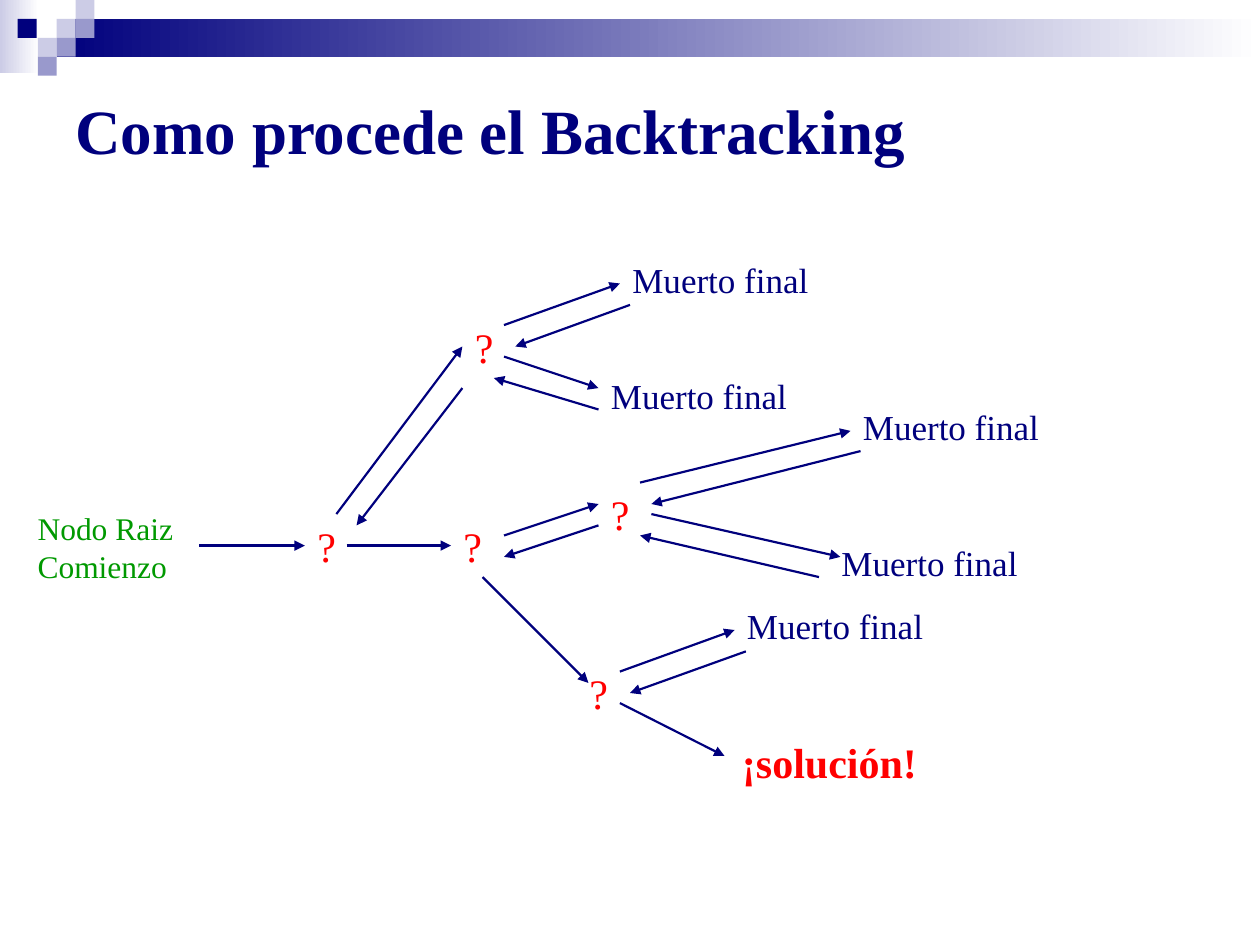
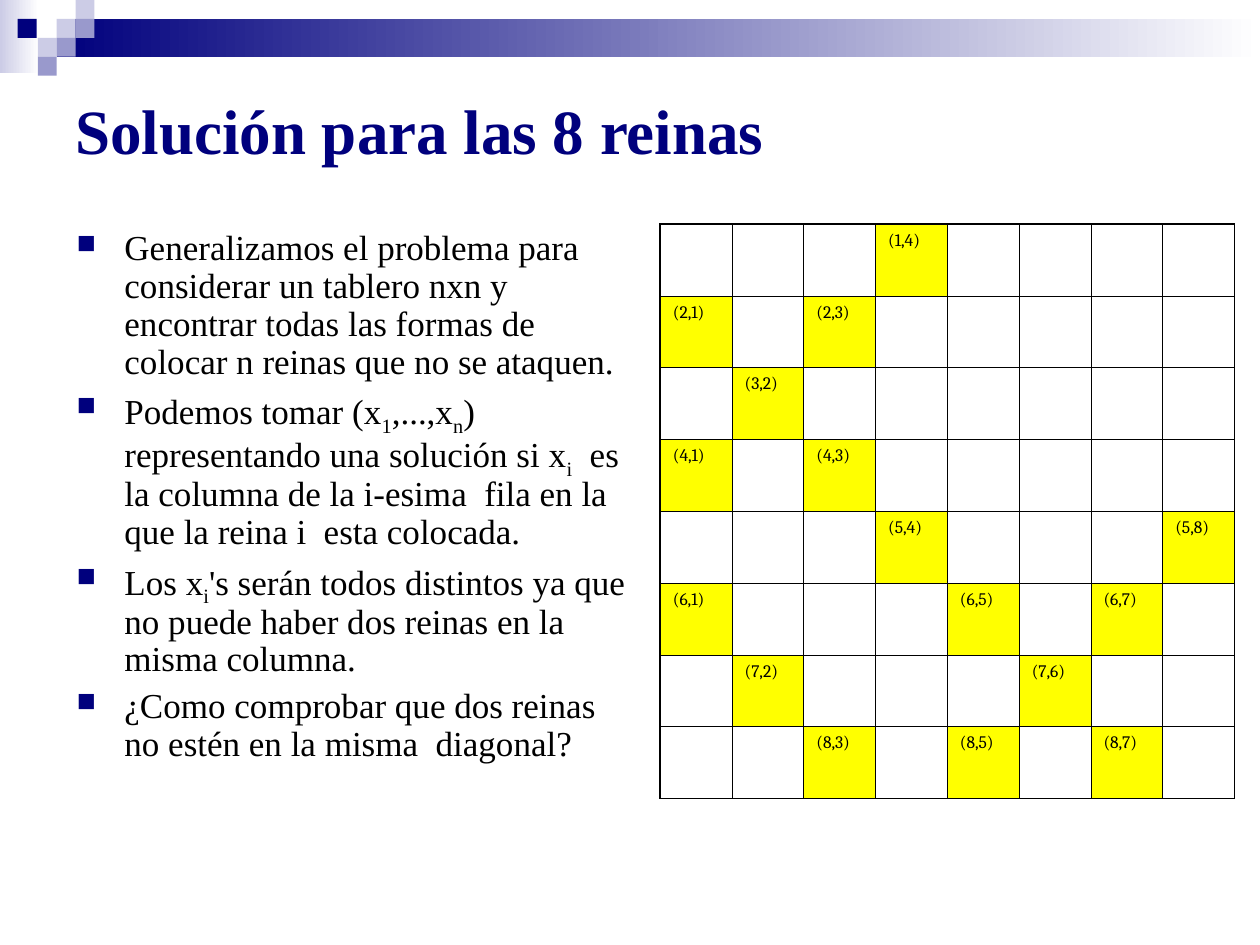
from dataclasses import dataclass

from lxml import etree
from pptx import Presentation
from pptx.dml.color import RGBColor
from pptx.enum.shapes import MSO_CONNECTOR, MSO_SHAPE
from pptx.enum.text import MSO_ANCHOR, MSO_AUTO_SIZE
from pptx.oxml.ns import qn
from pptx.util import Inches, Pt

STRAIGHT = MSO_CONNECTOR.STRAIGHT
RECTANGLE = MSO_SHAPE.RECTANGLE
MIDDLE = MSO_ANCHOR.MIDDLE
GROW = MSO_AUTO_SIZE.SHAPE_TO_FIT_TEXT
TOP, LEFT, BOTTOM, RIGHT = range(4)


@dataclass(frozen=True)
class Theme:
    navy: str = "00007D"
    lilac: str = "CCCCE6"
    violet: str = "9999CC"
    white: str = "FFFFFF"
    black: str = "000000"
    red: str = "FF0000"
    green: str = "009900"
    yellow: str = "FFFF00"
    font: str = "Times New Roman"
    board_font: str = "Cambria"
    title: int = 36
    node: int = 24
    body: int = 20
    root: int = 18
    cell: int = 10
    arrow: float = 1.25
    inner_border: float = 0.45
    outer_border: float = 1.08


T = Theme()

# left, top, width, height, colour, colour it fades to
HEADER = [
    (0, 0, 0.31, 0.58, T.lilac, T.white),
    (0.45, 0.15, 9.55, 0.3, T.navy, T.white),
]
SQUARE = 0.15
HEADER += [
    (x, y, SQUARE, SQUARE, color, None)
    for x, y, color in [
        (0.45, 0.15, T.lilac), (0.6, 0, T.lilac), (0.6, 0.15, T.violet),
        (0.3, 0.3, T.lilac), (0.14, 0.15, T.navy), (0.45, 0.3, T.violet),
        (0.3, 0.45, T.violet),
    ]
]

# name: left, top, width
QUESTIONS = {
    "first": (2.42, 4.08, 0.5),
    "upper": (3.67, 2.5, 0.42),
    "middle": (3.58, 4.08, 0.5),
    "right": (4.75, 3.83, 0.5),
    "lower": (4.58, 5.25, 0.5),
}
DEAD_ENDS = [(4.92, 2), (4.75, 2.92), (6.75, 3.17), (6.58, 4.25), (5.83, 4.75)]

# each end is a point, or a question and the side it joins
ARROWS = [
    ((1.58, 4.33), ("first", LEFT)),
    (("first", TOP), ("upper", LEFT)),
    ((3.67, 3.08), (2.83, 4.17)),
    ((2.75, 4.33), ("middle", LEFT)),
    ((4, 2.58), (4.92, 2.25)),
    ((5, 2.42), ("upper", RIGHT)),
    ((4, 2.83), (4.75, 3.08)),
    ((4.75, 3.25), (3.92, 3)),
    ((4, 4.25), (4.75, 4)),
    ((4.75, 4.17), (4, 4.42)),
    ((5.08, 3.83), (6.75, 3.42)),
    ((6.83, 3.58), (5.17, 4)),
    ((5.17, 4.08), (6.67, 4.42)),
    ((6.5, 4.58), (5.08, 4.25)),
    (("middle", BOTTOM), (4.67, 5.42)),
    ((4.92, 5.33), (5.83, 5)),
    ((5.92, 5.17), (5, 5.5)),
    ((4.92, 5.58), (5.75, 6)),
]

# subscripts stand between underscores
POINTS = [
    "Generalizamos el problema para considerar un tablero nxn y encontrar "
    "todas las formas de colocar n reinas que no se ataquen.",
    "Podemos tomar (x_1_,...,x_n_)  representando una solución si x_i_  es la "
    "columna de la i-esima  fila en la que la reina i  esta colocada.",
    "Los x_i_'s serán todos distintos ya que no puede haber dos reinas en la "
    "misma columna.",
    "¿Como comprobar que dos reinas no estén en la misma  diagonal?",
]

BOARD_SIZE = 8
MARKED = {(1, 4), (2, 1), (2, 3), (3, 2), (4, 1), (4, 3), (5, 4), (5, 8),
          (6, 1), (6, 5), (6, 7), (7, 2), (7, 6), (8, 3), (8, 5), (8, 7)}


def rgb(color):
    return RGBColor.from_string(color)


def add_xml(parent, tag, **attributes):
    return etree.SubElement(parent, qn(tag), attributes)


def style(font, size, color, name=T.font, bold=False):
    values = {"size": Pt(size), "name": name, "bold": bold}
    for key, value in values.items():
        setattr(font, key, value)
    font.color.rgb = rgb(color)


def add_box(s, x, y, w, h, **frame):
    sp = s.shapes.add_textbox(Inches(x), Inches(y), Inches(w), Inches(h))
    for key, value in {"word_wrap": True, **frame}.items():
        setattr(sp.text_frame, key, value)
    return sp


def add_label(s, text, x, y, w, h, size, color, bold=False, **frame):
    sp = add_box(s, x, y, w, h, **frame)
    r = sp.text_frame.paragraphs[0].add_run()
    r.text = text
    style(r.font, size, color, bold=bold)
    return sp


def add_header(s):
    for x, y, w, h, color, fade in HEADER:
        sp = s.shapes.add_shape(RECTANGLE, Inches(x), Inches(y), Inches(w), Inches(h))
        sp.shadow.inherit = False
        sp.line.fill.background()
        if fade:
            sp.fill.gradient()
            sp.fill.gradient_angle = 0
            for stop, stop_color in zip(sp.fill.gradient_stops, (color, fade)):
                stop.color.rgb = rgb(stop_color)
        else:
            sp.fill.solid()
            sp.fill.fore_color.rgb = rgb(color)


def new_slide(prs, title):
    s = prs.slides.add_slide(prs.slide_layouts[6])
    add_header(s)
    add_label(s, title, 0.5, 0.5, 9.3, 1.05, T.title, T.navy, bold=True,
              vertical_anchor=MIDDLE)
    return s


def add_arrow(s, start, end, questions):
    xy = [(0, 0) if p[0] in questions else p for p in (start, end)]
    line = s.shapes.add_connector(STRAIGHT, *(Inches(v) for p in xy for v in p))
    for connect, point in ((line.begin_connect, start), (line.end_connect, end)):
        if point[0] in questions:
            connect(questions[point[0]], point[1])
    line.line.color.rgb = rgb(T.navy)
    line.line.width = Pt(T.arrow)
    add_xml(line.line._get_or_add_ln(), "a:tailEnd", type="triangle")
    add_xml(line._element.spPr, "a:effectLst")


def add_bullets(s, points, x, y, w, h):
    tf = add_box(s, x, y, w, h).text_frame
    for i, text in enumerate(points):
        p = tf.add_paragraph() if i else tf.paragraphs[0]
        pPr = p._p.get_or_add_pPr()
        pPr.set("marL", str(Inches(0.38)))
        pPr.set("indent", str(-Inches(0.38)))
        add_xml(add_xml(pPr, "a:buClr"), "a:srgbClr", val=T.navy)
        add_xml(pPr, "a:buSzPct", val="75000")
        add_xml(pPr, "a:buChar", char="■")
        p.line_spacing = 0.9
        p.space_before = Pt(5 if i else 0)
        for j, part in enumerate(text.split("_")):
            r = p.add_run()
            r.text = part
            style(r.font, T.body, T.black)
            if j % 2:
                r._r.get_or_add_rPr().set("baseline", "-25000")


def add_borders(cell, outer_sides):
    """Draw the four sides, thicker where the cell meets the board's edge."""
    tcPr = cell._tc.get_or_add_tcPr()
    for side in "LRTB":
        width = T.outer_border if side in outer_sides else T.inner_border
        ln = add_xml(tcPr, f"a:ln{side}", w=str(Pt(width)))
        add_xml(add_xml(ln, "a:solidFill"), "a:srgbClr", val=T.black)


def add_board(s, x, y, side):
    n = BOARD_SIZE
    table = s.shapes.add_table(n, n, Inches(x), Inches(y),
                               Inches(n * side), Inches(n * side)).table
    for line in table.columns:
        line.width = Inches(side)
    for row in range(1, n + 1):
        table.rows[row - 1].height = Inches(side)
        for col in range(1, n + 1):
            cell = table.cell(row - 1, col - 1)
            edges = {"L": col == 1, "R": col == n, "T": row == 1, "B": row == n}
            add_borders(cell, [edge for edge, outer in edges.items() if outer])
            marked = (row, col) in MARKED
            cell.fill.solid()
            cell.fill.fore_color.rgb = rgb(T.yellow if marked else T.white)
            if marked:
                r = cell.text_frame.paragraphs[0].add_run()
                r.text = f"({row},{col})"
                style(r.font, T.cell, T.black, T.board_font)


def build_search_tree(prs):
    s = new_slide(prs, "Como procede el Backtracking")
    add_label(s, "Nodo Raiz Comienzo", 0.2, 3.99, 1.47, 0.7, T.root, T.green,
              auto_size=GROW)
    questions = {
        name: add_label(s, "?", x, y, w, 0.5, T.node, T.red, auto_size=GROW)
        for name, (x, y, w) in QUESTIONS.items()
    }
    for x, y in DEAD_ENDS:
        add_label(s, "Muerto final", x, y, 1.92, 0.44, T.body, T.navy,
                  auto_size=GROW)
    add_label(s, "¡solución!", 5.79, 5.8, 1.75, 0.5, T.node, T.red, bold=True,
              auto_size=GROW)
    for start, end in ARROWS:
        add_arrow(s, start, end, questions)


def build_queens(prs):
    s = new_slide(prs, "Solución para las 8 reinas")
    add_board(s, 5.24, 1.78, 0.57)
    add_bullets(s, POINTS, 0.51, 1.78, 4.56, 5.51)


def main():
    prs = Presentation()
    prs.slide_width, prs.slide_height = Inches(10), Inches(7.5)
    build_search_tree(prs)
    build_queens(prs)
    prs.save("out.pptx")


if __name__ == "__main__":
    main()
